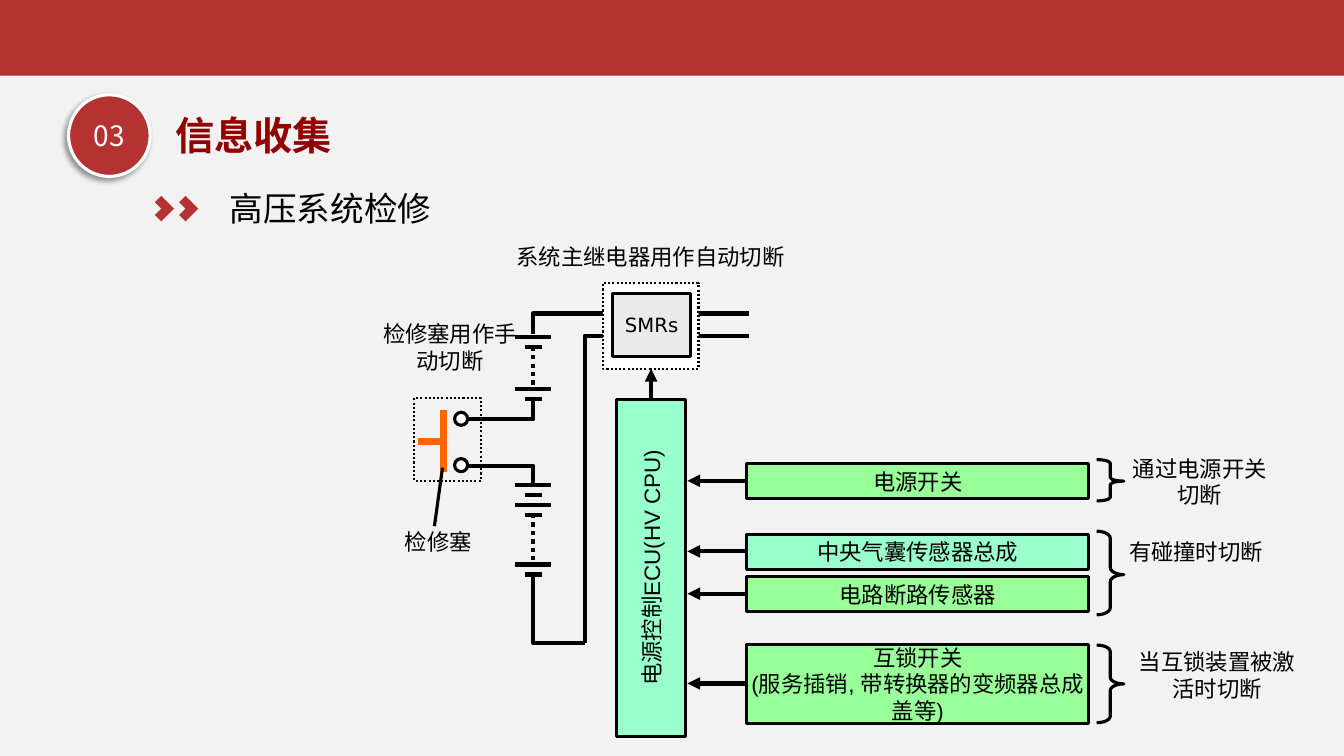
"""Build the slide on shutting off and servicing a high-voltage system."""
from lxml import etree
from pptx import Presentation
from pptx.dml.color import RGBColor
from pptx.enum.dml import MSO_LINE
from pptx.enum.shapes import MSO_CONNECTOR, MSO_SHAPE
from pptx.enum.text import MSO_ANCHOR, MSO_AUTO_SIZE, PP_ALIGN
from pptx.oxml.ns import qn
from pptx.util import Inches, Pt

RECT, OVAL = MSO_SHAPE.RECTANGLE, MSO_SHAPE.OVAL
BRACE, CORNER = MSO_SHAPE.RIGHT_BRACE, MSO_SHAPE.CORNER
STRAIGHT, DOTTED = MSO_CONNECTOR.STRAIGHT, MSO_LINE.ROUND_DOT
CENTER, LEFT = PP_ALIGN.CENTER, PP_ALIGN.LEFT
MIDDLE, TOP = MSO_ANCHOR.MIDDLE, MSO_ANCHOR.TOP
GROW = MSO_AUTO_SIZE.SHAPE_TO_FIT_TEXT

BLACK, WHITE = RGBColor(0, 0, 0), RGBColor(255, 255, 255)
INK = RGBColor(0x01, 0, 0)
RED, DARK_RED = RGBColor(0xB4, 0x32, 0x32), RGBColor(0x92, 0, 0)
PAPER, GREY = RGBColor(0xF2, 0xF2, 0xF2), RGBColor(0xEA, 0xEA, 0xEA)
MINT, GREEN = RGBColor(0x99, 0xFF, 0xCC), RGBColor(0x99, 0xFF, 0x99)
ORANGE = RGBColor(0xFF, 0x66, 0)
CJK_FONT = "Noto Sans CJK SC"

CELL = Inches(0.1)
COLUMNS, ROWS = 133.33, 75

deck = Presentation()
deck.slide_width, deck.slide_height = int(COLUMNS * CELL), ROWS * CELL
slide = deck.slides.add_slide(deck.slide_layouts[6])
slide.background.fill.solid()
slide.background.fill.fore_color.rgb = PAPER


def add_block(preset, cells, fill=None, line=None, width=2.25, text="", size=16,
              font="Arial", color=INK, bold=False, align=CENTER, inset=(0.4, 0.4), wrap=True):
    """Place a shape, or a text box if preset is None, at grid cells."""
    box = [int(n * CELL) for n in cells]
    if preset is None:
        block = slide.shapes.add_textbox(*box)
    else:
        block = slide.shapes.add_shape(preset, *box)
        block.shadow.inherit = False
        for paint, shade in ((block.fill, fill), (block.line.fill, line)):
            if shade is None:
                paint.background()
            else:
                paint.solid()
                paint.fore_color.rgb = shade
        if line is not None:
            block.line.width = Pt(width)
    if text:
        frame = block.text_frame
        frame.text = text
        frame.word_wrap = wrap
        frame.vertical_anchor = TOP if preset is None else MIDDLE
        if preset is None:
            frame.auto_size = GROW
        frame.margin_left = frame.margin_right = int(inset[0] * CELL)
        frame.margin_top = frame.margin_bottom = int(inset[1] * CELL)
        for paragraph in frame.paragraphs:
            paragraph.alignment = align
            for run in paragraph.runs:
                run.font.name, run.font.size, run.font.bold = font, Pt(size), bold
                run.font.color.rgb = color
                east_asian = etree.SubElement(run.font._element, qn("a:ea"))
                east_asian.set("typeface", CJK_FONT)
    return block


def add_wire(*points, color=BLACK, width=3, dash=None, arrow=False):
    """Draw a line, or a bent line, through grid points."""
    dots = [(int(x * CELL), int(y * CELL)) for x, y in points]
    if len(dots) == 2:
        wire = slide.shapes.add_connector(STRAIGHT, *dots[0], *dots[1])
    else:
        builder = slide.shapes.build_freeform(*dots[0])
        builder.add_line_segments(dots[1:], close=False)
        wire = builder.convert_to_shape()
        wire.fill.background()
    wire.line.color.rgb = color
    wire.line.width = Pt(width)
    if dash is not None:
        wire.line.dash_style = dash
    if arrow:
        etree.SubElement(wire.line._get_or_add_ln(), qn("a:tailEnd")).set("type", "triangle")
    etree.SubElement(wire._element.spPr, qn("a:effectLst"))


add_block(None, (16.4, 10.6, 17.6, 6), text="信息收集", size=28, font="Karla",
          color=DARK_RED, bold=True, align=LEFT, inset=(1, 0.5), wrap=False)
add_block(RECT, (-0.1, 0, 133.6, 7.5), RED)
badge = add_block(OVAL, (6.8, 9.4, 8.1, 8.1), RED, WHITE, text="03", size=20,
                  font=CJK_FONT, color=WHITE, inset=(1, 0.5))
glow = etree.SubElement(badge._element.spPr.find(qn("a:effectLst")), qn("a:outerShdw"),
                        blurRad=str(Pt(4)), dist=str(Pt(3)), dir=str(135 * 60000),
                        algn="tr", rotWithShape="0")
shade = etree.SubElement(glow, qn("a:srgbClr"), val="000000")
etree.SubElement(shade, qn("a:alpha"), val="40000")

for chevron_left in (15.1, 17.5):
    add_block(CORNER, (chevron_left, 19.8, 1.8, 1.8), RED).rotation = 225
subtitle = add_block(None, (21.8, 16.2, 22.2, 6.4), text="高压系统检修", size=24, font=CJK_FONT,
                     color=BLACK, align=LEFT, inset=(1, 0.5), wrap=False)
subtitle.text_frame.paragraphs[0].line_spacing = 1.5

battery, return_wire, relay_end = 52.9, 58, 74.3
plug_contact, contact_rows = 45.7, (41.6, 46.2)
add_wire((battery, 33.1), (battery, 31.1), (relay_end, 31.1))
add_wire((return_wire, 63.8), (return_wire, 33.3), (relay_end, 33.3))
add_wire((battery, 57.1), (battery, 63.8), (return_wire, 63.8))
for contact_row, battery_row in zip(contact_rows, (39.5, 48.2)):
    add_wire((battery, battery_row), (battery, contact_row), (plug_contact, contact_row))
    add_block(OVAL, (45.1, contact_row - 0.7, 1.3, 1.3), WHITE, BLACK)
for plate_row in (33.4, 38.6, 48.1, 50.1, 56):
    for half_width, drop in ((1.8, 0), (0.85, 1)):
        add_wire((battery - half_width, plate_row + drop), (battery + half_width, plate_row + drop))
for first_row, last_row in ((34.4, 38.6), (51, 56)):
    add_wire((battery, first_row), (battery, last_row), dash=DOTTED)

add_wire((44, 40.7), (44, 46.8), color=ORANGE, width=4.5)
add_wire((41.5, 43.8), (44, 43.8), color=ORANGE, width=4.5)
add_wire((43.9, 46.4), (43.1, 52.2), width=2.25)
plug_frame = add_block(RECT, (41.1, 39.5, 6.6, 8.2), line=BLACK, width=1.5)
relay_frame = add_block(RECT, (59.8, 28.1, 9.5, 8.5), WHITE, BLACK, 1.5)
for frame_outline in (plug_frame, relay_frame):
    frame_outline.line.dash_style = DOTTED
add_block(RECT, (60.8, 29.1, 7.7, 6.3), GREY, BLACK, text="SMRs", size=14, font="DejaVu Sans")

captions = (
    ("系统主继电器用作自动切断", 50.5, 23.7, 28.1, 3.5),
    ("检修塞用作手动切断", 37.3, 31.4, 14.7, 6.2),
    ("检修塞", 39.3, 52, 8.4, 3.5),
    ("通过电源开关切断", 110.9, 44.7, 16.3, 6.1),
    ("有碰撞时切断", 109.7, 53, 17.9, 3.5),
    ("当互锁装置被激活时切断", 111.8, 63.9, 17.9, 6.1),
)
for caption, *cells in captions:
    add_block(None, cells, text=caption)

add_wire((64.6, 43.2), (64.6, 36.6), arrow=True)
control_unit = add_block(RECT, (47.9, 52.9, 33.4, 6.9), MINT, BLACK, text="电源控制ECU(HV CPU)")
control_unit.rotation = 270

inputs = (
    ("电源开关", 46, 3.5, GREEN),
    ("中央气囊传感器总成", 53, 3.5, MINT),
    ("电路断路传感器", 57.2, 3.5, GREEN),
    ("互锁开关\n(服务插销, 带转换器的变频器总成盖等)", 63.9, 7.9, GREEN),
)
for label, row, height, fill in inputs:
    middle = row + height / 2 - 0.05
    add_wire((77.4, middle), (68.2, middle), arrow=True)
    add_block(RECT, (74.1, row, 33.9, height), fill, BLACK, text=label, color=BLACK, inset=(0, 0.4))

for row, height, curl, tip in ((45.6, 4.1, 0.13, 0.52), (52.7, 8.3, 0.26, 0.52), (64, 7.7, 0.24, 0.5)):
    brace = add_block(BRACE, (108.8, row, 2.7, height), line=BLACK)
    brace.adjustments[0], brace.adjustments[1] = curl, tip

deck.save("out.pptx")
